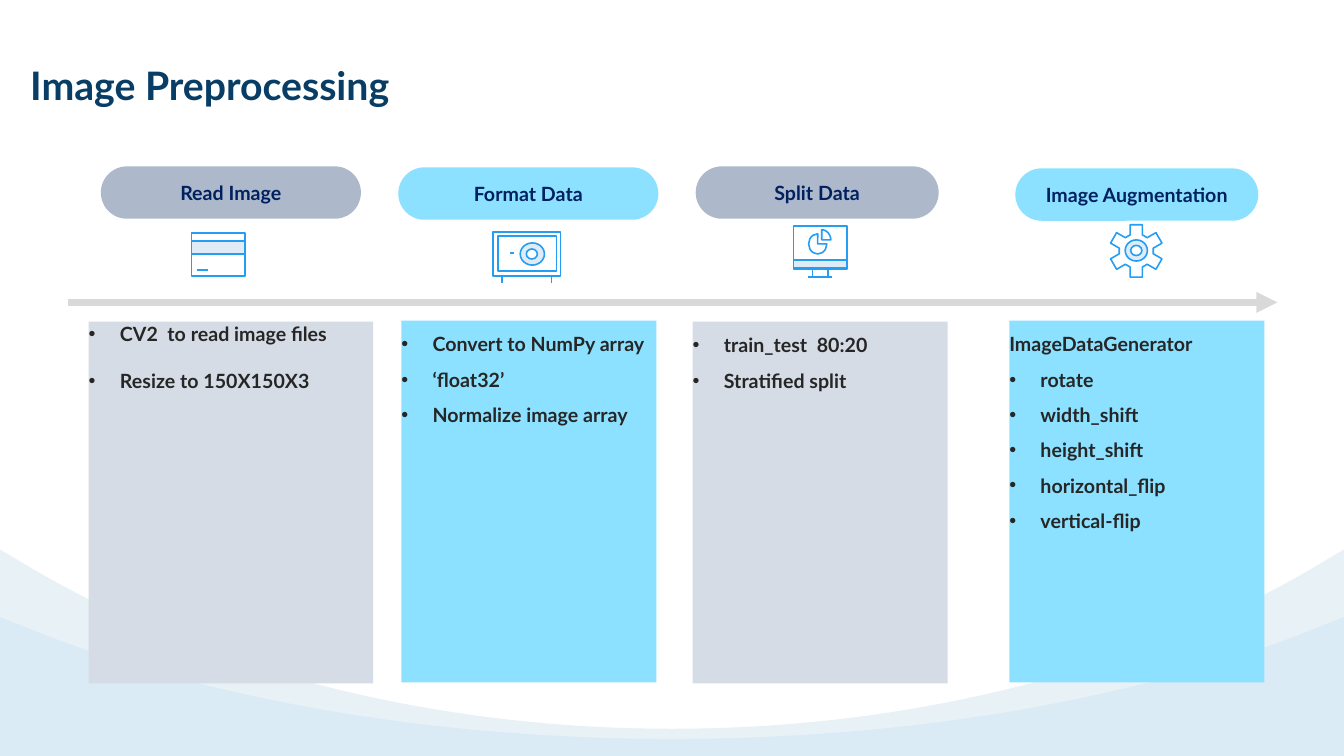
import math
import pptx
import pptx.util
import pptx.dml.color
import pptx.enum.shapes
import pptx.enum.text
import pptx.oxml
import pptx.oxml.ns

KIND = pptx.enum.shapes.MSO_SHAPE
ALIGN = pptx.enum.text.PP_ALIGN
ANCHOR = pptx.enum.text.MSO_ANCHOR
WIDE, HIGH = 13.33, 7.5
FONT = "Lato"
GREY, PALE, CYAN = "ADB9CA", "D6DCE5", "8BE1FF"
BLUE, TINT, WHITE = "249DF2", "DFECF6", "FFFFFF"


def inch(num):
    """Turn inches into a length."""
    return pptx.util.Inches(num)


def color(code):
    """Turn a hex string into a colour."""
    return pptx.dml.color.RGBColor.from_string(code)


def child(node, tag, **attrs):
    """Append a drawing element with attributes to a node."""
    item = pptx.oxml.parse_xml(f"<a:{tag} {pptx.oxml.ns.nsdecls('a')}/>")
    for name, value in attrs.items():
        item.set(name, str(value))
    node.append(item)


def place(shape, box):
    """Set a shape on its box."""
    shape.left, shape.top, shape.width, shape.height = map(inch, box)


def paint(shape, fill=None, line=None):
    """Give a shape its fill and outline."""
    shape.shadow.inherit = False
    if fill:
        shape.fill.solid()
        shape.fill.fore_color.rgb = color(fill)
    else:
        shape.fill.background()
    if line:
        shape.line.color.rgb = color(line)
        shape.line.width = pptx.util.Pt(1.13)
    else:
        shape.line.fill.background()
    return shape


def draw(slide, kind, box, fill=None, line=BLUE):
    """Add a preset shape."""
    return paint(slide.shapes.add_shape(kind, *map(inch, box)), fill, line)


def outline(slide, points, fill=None, line=BLUE):
    """Add a closed polygon through points in inches."""
    dots = [(inch(x), inch(y)) for x, y in points]
    build = slide.shapes.build_freeform(*dots[0])
    build.add_line_segments(dots[1:], close=True)
    return paint(build.convert_to_shape(), fill, line)


def stroke(slide, x, y, end_x, end_y, code=BLUE, width=1.13):
    """Add a straight line."""
    line = slide.shapes.add_connector(
        pptx.enum.shapes.MSO_CONNECTOR.STRAIGHT, *map(inch, (x, y, end_x, end_y)))
    line.line.color.rgb = color(code)
    line.line.width = pptx.util.Pt(width)
    child(line.element.spPr, "effectLst")
    return line


def curve(knots, count=40):
    """Sample a cubic curve from its four knots."""
    steps = [i / count for i in range(count + 1)]
    return [tuple(sum(math.comb(3, k) * t ** k * (1 - t) ** (3 - k) * knot[axis]
                      for k, knot in enumerate(knots)) for axis in (0, 1))
            for t in steps]


def style(para, code, size=14):
    """Format the runs of a paragraph."""
    for run in para.runs:
        run.font.name = FONT
        run.font.size = pptx.util.Pt(size)
        run.font.bold = True
        run.font.color.rgb = color(code)


def bare(frame):
    """Clear the insets of a text frame and fix its size."""
    frame.margin_left = frame.margin_right = 0
    frame.margin_top = frame.margin_bottom = 0
    frame.word_wrap = True
    frame.auto_size = pptx.enum.text.MSO_AUTO_SIZE.NONE
    frame.vertical_anchor = ANCHOR.TOP


def head(title, box):
    """Write the slide title."""
    place(title, box)
    frame = title.text_frame
    frame.text = "Image Preprocessing"
    bare(frame)
    frame.paragraphs[0].alignment = ALIGN.LEFT
    style(frame.paragraphs[0], "083D65", 28)


def wave(slide, edge, knee, bend, low, fill, alpha=100):
    """Draw a mirrored wave along the foot of the slide."""
    left = [(0, edge)] + curve([(0.25, knee), (1.94, bend), (4.2, low), (WIDE / 2, low)])
    right = [(WIDE - x, y) for x, y in reversed(left[:-1])]
    shape = outline(slide, left + right + [(WIDE, HIGH), (0, HIGH)], fill, None)
    child(shape.fill.fore_color.rgb and shape.element.spPr.find(
        ".//" + pptx.oxml.ns.qn("a:srgbClr")), "alpha", val=alpha * 1000)


def arrow(slide, x, y, end_x):
    """Draw the time arrow."""
    line = stroke(slide, x, y, end_x, y, "D9D9D9", 5)
    child(line.line._get_or_add_ln(), "tailEnd", type="triangle")


def pill(slide, box, text, fill):
    """Draw a step heading."""
    shape = draw(slide, KIND.ROUNDED_RECTANGLE, box, fill, None)
    shape.adjustments[0] = 0.5
    frame = shape.text_frame
    frame.text = text
    frame.word_wrap = True
    frame.vertical_anchor = ANCHOR.MIDDLE
    frame.paragraphs[0].alignment = ALIGN.CENTER
    style(frame.paragraphs[0], "002060")


def panel(slide, body, box, lines, fill, lead, gap, plain):
    """Fill a body placeholder with a list, the first lines plain."""
    slide.shapes.element.append(body.element)
    place(body, box)
    body.fill.solid()
    body.fill.fore_color.rgb = color(fill)
    frame = body.text_frame
    frame.text = "\n".join(lines)
    bare(frame)
    for i, para in enumerate(frame.paragraphs):
        para.alignment = ALIGN.LEFT
        para.line_spacing = lead
        para.space_before = pptx.util.Pt(0)
        para.space_after = pptx.util.Pt(gap)
        style(para, "262626")
        props = para._p.get_or_add_pPr()
        dent = 0 if i < plain else inch(0.31)
        props.set("marL", str(dent))
        props.set("indent", str(-dent))
        if i < plain:
            child(props, "buNone")
        else:
            child(props, "buFont", typeface="Arial")
            child(props, "buChar", char="•")


def card(slide, x, y):
    """Draw the card icon."""
    draw(slide, KIND.RECTANGLE, (x, y, 0.53, 0.43))
    draw(slide, KIND.RECTANGLE, (x, y + 0.08, 0.53, 0.13), TINT)
    stroke(slide, x + 0.05, y + 0.37, x + 0.16, y + 0.37)


def safe(slide, x, y):
    """Draw the safe icon."""
    draw(slide, KIND.RECTANGLE, (x, y, 0.67, 0.44))
    draw(slide, KIND.RECTANGLE, (x + 0.05, y + 0.04, 0.58, 0.35))
    for leg in (x + 0.09, x + 0.58):
        stroke(slide, leg, y + 0.44, leg, y + 0.51)
    draw(slide, KIND.OVAL, (x + 0.27, y + 0.11, 0.24, 0.22), TINT)
    draw(slide, KIND.OVAL, (x + 0.33, y + 0.17, 0.11, 0.1), WHITE)
    stroke(slide, x + 0.17, y + 0.21, x + 0.21, y + 0.21)


def screen(slide, x, y):
    """Draw the screen icon with its pie."""
    draw(slide, KIND.RECTANGLE, (x, y, 0.53, 0.43))
    draw(slide, KIND.RECTANGLE, (x, y + 0.34, 0.53, 0.08), TINT)
    draw(slide, KIND.RECTANGLE, (x + 0.19, y + 0.42, 0.15, 0.09))
    stroke(slide, x + 0.14, y + 0.51, x + 0.38, y + 0.51)
    draw(slide, KIND.PIE, (x + 0.15, y + 0.08, 0.18, 0.2))
    mid, top, end, low = x + 0.28, y + 0.04, x + 0.37, y + 0.14
    arc = curve([(mid, top), (mid + 0.05, top), (end, top + 0.05), (end, low)], 12)
    outline(slide, [(mid, low)] + arc)


def gear(slide, x, y):
    """Draw the gear icon around its centre."""
    draw(slide, KIND.DONUT, (x - 0.11, y - 0.11, 0.22, 0.21), TINT).adjustments[0] = 0.26
    tooth = [(-0.06, -0.16), (-0.06, -0.26), (0.06, -0.26), (0.06, -0.16)]
    turns = [math.radians(60 * i) for i in range(6)]
    outline(slide, [(x + a * math.cos(t) - b * math.sin(t),
                     y + a * math.sin(t) + b * math.cos(t))
                    for t in turns for a, b in tooth])


STEPS = [
    ("Read Image", (1, 1.65, 2.58, 0.52), GREY, (0.88, 3.19, 2.82, 3.59), PALE,
     ["CV2  to read image files", "Resize to 150X150X3"], 1, 17, 0, card, (1.9, 2.31)),
    ("Format Data", (3.95, 1.66, 2.58, 0.52), CYAN, (3.98, 3.18, 2.53, 3.59), CYAN,
     ["Convert to NumPy array", "‘float32’", "Normalize image array"],
     1.5, 0, 0, safe, (4.89, 2.3)),
    ("Split Data", (6.9, 1.65, 2.41, 0.52), GREY, (6.87, 3.19, 2.53, 3.59), PALE,
     ["train_test  80:20", "Stratified split"], 1.5, 0, 0, screen, (7.87, 2.24)),
    ("Image Augmentation", (10.07, 1.67, 2.41, 0.52), CYAN, (10.01, 3.18, 2.53, 3.59), CYAN,
     ["ImageDataGenerator", "rotate", "width_shift", "height_shift", "horizontal_flip",
      "vertical-flip"], 1.5, 0, 1, gear, (11.27, 2.49)),
]


def main():
    """Build and save the slide."""
    deck = pptx.Presentation()
    deck.slide_width, deck.slide_height = inch(WIDE), inch(HIGH)
    slide = deck.slides.add_slide(deck.slide_layouts[4])
    title, *bodies = list(slide.placeholders)
    head(title, (0.3, 0.61, 5.45, 0.47))
    wave(slide, 5.45, 5.6, 6.61, 7.23, "E8F1F6")
    wave(slide, 6.12, 6.22, 6.91, 7.33, "7AC2F9", 11)
    arrow(slide, 0.67, 3, 12.67)
    for body, step in zip(bodies, STEPS):
        name, top, shade, box, fill, lines, lead, gap, plain, icon, spot = step
        panel(slide, body, box, lines, fill, lead, gap, plain)
        pill(slide, top, name, shade)
        icon(slide, *spot)
    deck.save("out.pptx")


if __name__ == "__main__":
    main()
